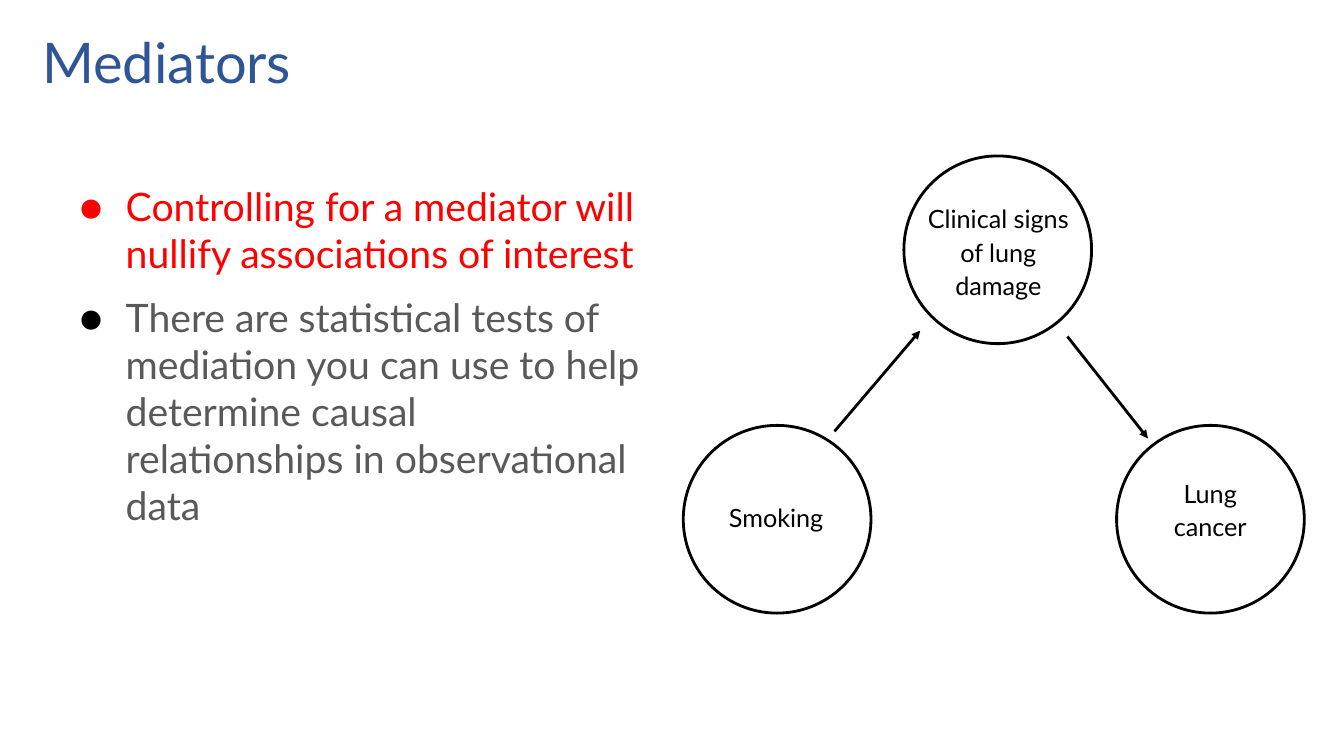
from pptx import Presentation
from pptx.dml.color import RGBColor
from pptx.enum.shapes import MSO_CONNECTOR, MSO_SHAPE
from pptx.enum.text import MSO_ANCHOR, PP_ALIGN
from pptx.oxml.ns import qn
from pptx.util import Cm, Pt
from lxml import etree

STRAIGHT = MSO_CONNECTOR.STRAIGHT
OVAL = MSO_SHAPE.OVAL
TOP = MSO_ANCHOR.TOP
CENTER = PP_ALIGN.CENTER

FONT = "Lato"
BLUE = RGBColor(0x2F, 0x55, 0x97)
RED = RGBColor(0xFF, 0x00, 0x00)
GRAY = RGBColor(0x59, 0x59, 0x59)
BLACK = RGBColor(0x00, 0x00, 0x00)

CIRCLE_SIZE = 4.73
LINE_WIDTH = Pt(2)

# Circle left and top, then label text, left, top, width and height, in cm
NODES = [
    (22.78, 3.93, "Clinical signs of lung damage", 22.96, 4.93, 4.4, 3.5),
    (17.22, 10.72, "Smoking", 17.81, 12.45, 3.5, 2),
    (28.14, 10.72, "Lung cancer", 28.75, 11.84, 3.5, 2),
]
ARROWS = [
    (21.03, 10.87, 23.19, 8.33),
    (26.9, 8.48, 28.93, 11.05),
]
BULLETS = [
    ("Controlling for a mediator will nullify associations of interest", RED, RED),
    ("There are statistical tests of mediation you can use to help determine "
     "causal relationships in observational data", GRAY, BLACK),
]


def add_text_frame(page, left, top, width, height, inset_x, inset_y):
    box = page.shapes.add_textbox(Cm(left), Cm(top), Cm(width), Cm(height))
    frame = box.text_frame
    frame.word_wrap = True
    frame.vertical_anchor = TOP
    frame.margin_left = frame.margin_right = Cm(inset_x)
    frame.margin_top = frame.margin_bottom = Cm(inset_y)
    return frame


def add_span(para, text, size, color):
    span = para.add_run()
    span.text = text
    span.font.name = FONT
    span.font.size = Pt(size)
    span.font.color.rgb = color


def set_bullet(para, color):
    """Give the paragraph a hanging round bullet of its own colour."""
    properties = para._p.get_or_add_pPr()
    properties.set("marL", str(Cm(1.7)))
    properties.set("indent", str(-Cm(1.17)))
    bullet_color = etree.SubElement(properties, qn("a:buClr"))
    etree.SubElement(bullet_color, qn("a:srgbClr"), val=str(color))
    etree.SubElement(properties, qn("a:buFont"), typeface=FONT)
    etree.SubElement(properties, qn("a:buChar"), char="●")


def add_title(page, text):
    para = add_text_frame(page, 0.74, 0.56, 31.55, 2.13, 0.33, 0.33).paragraphs[0]
    para.line_spacing = 0.9
    add_span(para, text, 40, BLUE)


def add_bullets(page, bullets):
    frame = add_text_frame(page, 1.14, 4.27, 15.37, 12.9, 0.33, 0.33)
    for index, (text, color, bullet_color) in enumerate(bullets):
        para = frame.add_paragraph() if index else frame.paragraphs[0]
        para.space_before = Pt(12)
        set_bullet(para, bullet_color)
        add_span(para, text, 28, color)


def add_label(page, text, left, top, width, height):
    para = add_text_frame(page, left, top, width, height, 0.25, 0.13).paragraphs[0]
    para.alignment = CENTER
    para.line_spacing = 1.1
    add_span(para, text, 18, BLACK)


def add_circle(page, left, top):
    circle = page.shapes.add_shape(
        OVAL, Cm(left), Cm(top), Cm(CIRCLE_SIZE), Cm(CIRCLE_SIZE))
    circle.shadow.inherit = False
    circle.fill.background()
    circle.line.color.rgb = BLACK
    circle.line.width = LINE_WIDTH


def add_arrow(page, *ends):
    arrow = page.shapes.add_connector(STRAIGHT, *(Cm(value) for value in ends))
    arrow.line.color.rgb = BLACK
    arrow.line.width = LINE_WIDTH
    etree.SubElement(arrow.line._get_or_add_ln(), qn("a:tailEnd"), type="triangle")
    etree.SubElement(arrow._element.spPr, qn("a:effectLst"))


def main():
    deck = Presentation()
    deck.slide_width = Cm(33.87)
    deck.slide_height = Cm(19.05)
    page = deck.slides.add_slide(deck.slide_layouts[6])

    add_title(page, "Mediators")
    add_bullets(page, BULLETS)
    for left, top, *label in NODES:
        add_circle(page, left, top)
        add_label(page, *label)
    for ends in ARROWS:
        add_arrow(page, *ends)

    deck.save("out.pptx")


if __name__ == "__main__":
    main()
